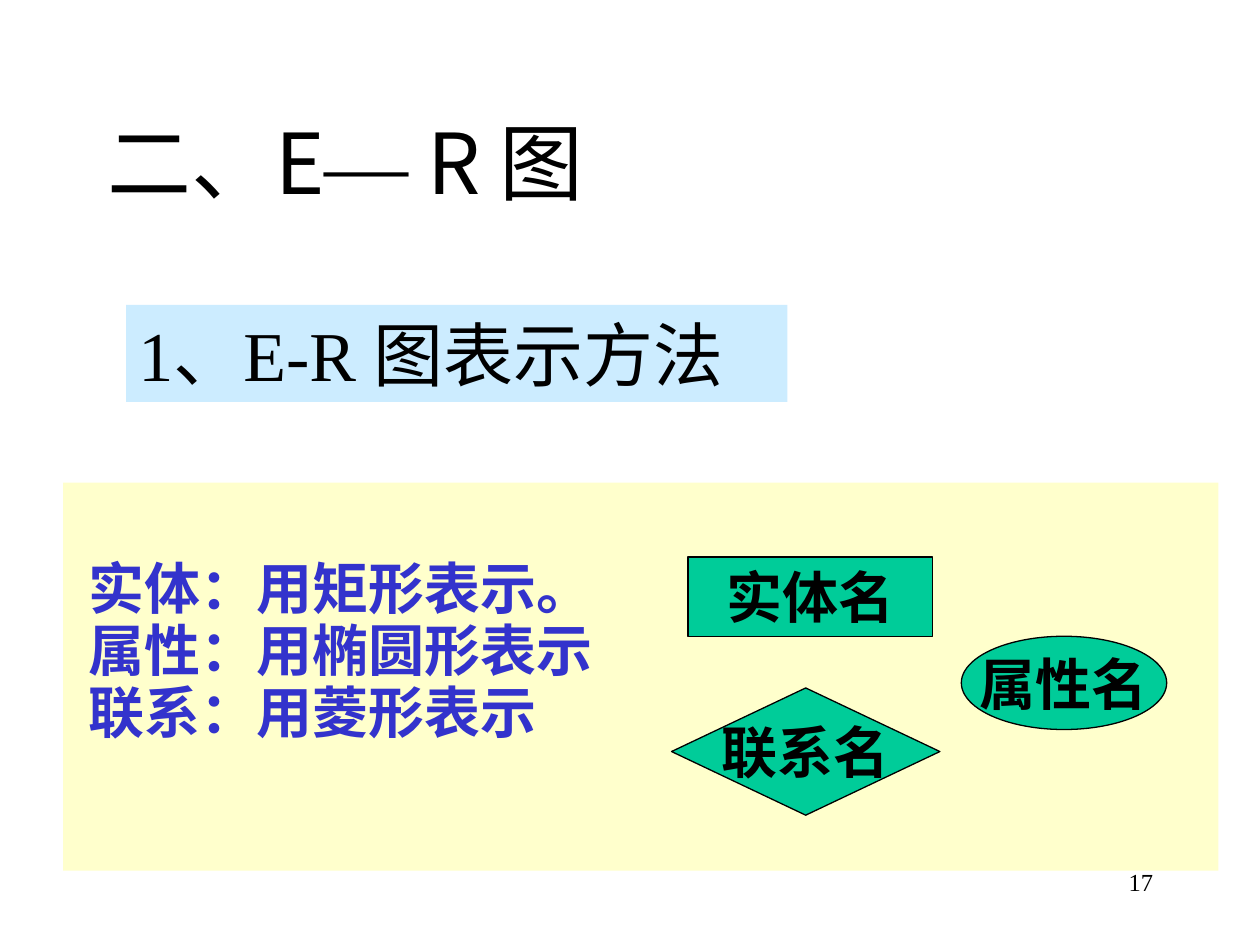
from lxml import etree
from pptx import Presentation
from pptx.dml.color import RGBColor
from pptx.enum.shapes import MSO_SHAPE
from pptx.enum.text import MSO_ANCHOR, MSO_AUTO_SIZE, PP_ALIGN
from pptx.oxml.ns import qn
from pptx.util import Inches, Pt

LEFT, CENTER, RIGHT = PP_ALIGN.LEFT, PP_ALIGN.CENTER, PP_ALIGN.RIGHT
TOP, MIDDLE = MSO_ANCHOR.TOP, MSO_ANCHOR.MIDDLE
NO_FIT = MSO_AUTO_SIZE.NONE
RECTANGLE, ELLIPSE, DIAMOND = MSO_SHAPE.RECTANGLE, MSO_SHAPE.OVAL, MSO_SHAPE.DIAMOND

SANS = "Noto Sans CJK SC"
SERIF = "Times New Roman"
COLORS = {
    "text": "000000",
    "rule": "3333CC",
    "panel": "FFFFCC",
    "heading": "CCECFF",
    "symbol": "00CC99",
}
RULES = ["实体：用矩形表示。", "属性：用椭圆形表示", "联系：用菱形表示"]
SYMBOLS = [
    (RECTANGLE, "实体名", (5.46, 4.42, 1.94, 0.63)),
    (ELLIPSE, "属性名", (7.63, 5.05, 1.63, 0.74)),
    (DIAMOND, "联系名", (5.33, 5.46, 2.13, 1.01)),
]


def color(name):
    return RGBColor.from_string(COLORS[name])


def apply(target, values):
    for name, value in values.items():
        setattr(target, name, value)


def place(shape, box):
    apply(shape, dict(zip(("left", "top", "width", "height"), map(Inches, box))))


def fill(shape, name):
    shape.fill.solid()
    shape.fill.fore_color.rgb = color(name)


def format_frame(frame, anchor=MIDDLE, wrap=True):
    apply(frame, {"auto_size": NO_FIT, "word_wrap": wrap, "vertical_anchor": anchor})


def add_run(paragraph, text, size, face=SERIF, ink="text", bold=False):
    run = paragraph.add_run()
    run.text = text
    run.font.color.rgb = color(ink)
    apply(run.font, {"size": Pt(size), "name": face, "bold": bold})
    etree.SubElement(run.font._element, qn("a:ea"), typeface=SANS)


def add_title(slide):
    title = slide.shapes.title
    place(title, (0.75, 0.83, 4.83, 0.9))
    format_frame(title.text_frame)
    paragraph = title.text_frame.paragraphs[0]
    paragraph.alignment = LEFT
    for text, face in (("二、E", SANS), ("—", SERIF), (" R 图", SANS)):
        add_run(paragraph, text, 48, face)


def add_rules(slide):
    body = slide.placeholders[1]
    place(body, (0.5, 3.83, 9.17, 3.08))
    fill(body, "panel")
    frame = body.text_frame
    format_frame(frame, TOP)
    apply(frame, {"margin_left": Inches(0.2), "margin_top": Inches(0.62)})
    for index, rule in enumerate(RULES):
        paragraph = frame.add_paragraph() if index else frame.paragraphs[0]
        properties = paragraph._p.get_or_add_pPr()
        properties.set("marL", "0")
        properties.set("indent", "0")
        etree.SubElement(properties, qn("a:buNone"))
        apply(paragraph, {"line_spacing": 0.9, "space_before": Pt(1 if index else 0)})
        add_run(paragraph, rule, 32, SANS, "rule", True)


def add_symbol(slide, kind, label, box):
    symbol = slide.shapes.add_shape(kind, *map(Inches, box))
    symbol.shadow.inherit = False
    fill(symbol, "symbol")
    symbol.line.color.rgb = color("text")
    symbol.line.width = Pt(0.75)
    format_frame(symbol.text_frame, wrap=False)
    paragraph = symbol.text_frame.paragraphs[0]
    paragraph.alignment = CENTER
    add_run(paragraph, label, 32, bold=True)


def add_label(slide, text, size, box, alignment=LEFT, anchor=MIDDLE, background=None):
    label = slide.shapes.add_textbox(*map(Inches, box))
    if background:
        fill(label, background)
    format_frame(label.text_frame, anchor)
    paragraph = label.text_frame.paragraphs[0]
    paragraph.alignment = alignment
    add_run(paragraph, text, size)


def main():
    presentation = Presentation()
    presentation.slide_width = Inches(10)
    presentation.slide_height = Inches(7.5)
    slide = presentation.slides.add_slide(presentation.slide_layouts[1])
    add_title(slide)
    add_label(slide, "1、E-R 图表示方法", 40, (1, 2.42, 5.25, 0.77), background="heading")
    add_rules(slide)
    for kind, label, box in SYMBOLS:
        add_symbol(slide, kind, label, box)
    add_label(slide, "17", 14, (7.17, 6.83, 2.08, 0.5), RIGHT, TOP)
    presentation.save("out.pptx")


if __name__ == "__main__":
    main()
